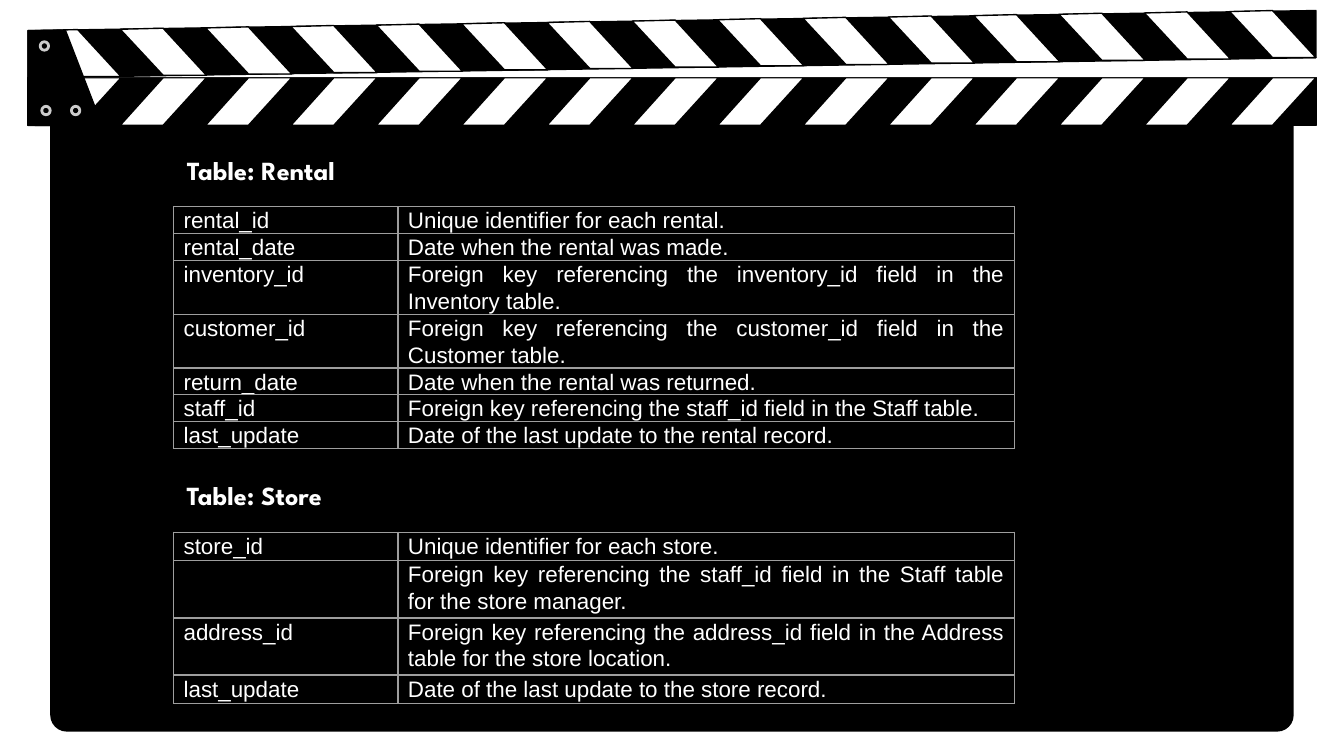
from dataclasses import dataclass

from lxml import etree
from pptx import Presentation
from pptx import util as u
from pptx.dml import color
from pptx.enum import shapes, text
from pptx.oxml import ns

HUES = {"ink": "000000", "snow": "FFFFFF", "rule": "171717", "ring": "CCCCCC", "grid": "9E9E9E"}
COUNT = 15
LEFT = 3.28


@dataclass
class Grid:
    top: float
    unit: float
    rows: list[tuple[str, str, int]]


@dataclass
class Spot:
    left: float
    top: float


RENTAL = Grid(3.91, 0.5, [
    ("rental_id", "Unique identifier for each rental.", 1),
    ("rental_date", "Date when the rental was made.", 1),
    ("inventory_id", "Foreign key referencing the inventory_id field in the Inventory table.", 2),
    ("customer_id", "Foreign key referencing the customer_id field in the Customer table.", 2),
    ("return_date", "Date when the rental was returned.", 1),
    ("staff_id", "Foreign key referencing the staff_id field in the Staff table.", 1),
    ("last_update", "Date of the last update to the rental record.", 1),
])
STORE = Grid(10.06, 0.54, [
    ("store_id", "Unique identifier for each store.", 1),
    ("", "Foreign key referencing the staff_id field in the Staff table for the store manager.", 2),
    ("address_id", "Foreign key referencing the address_id field in the Address table for the store location.", 2),
    ("last_update", "Date of the last update to the store record.", 1),
])
RIVETS = [Spot(0.76, 0.79), Spot(0.79, 2.01), Spot(1.35, 2.01)]


def hue(name: str) -> color.RGBColor:
    return color.RGBColor.from_string(HUES[name])


def paint(shape, fill: str, line: str, width: float = 0.75) -> None:
    shape.shadow.inherit = False
    shape.fill.solid()
    shape.fill.fore_color.rgb = hue(fill)
    shape.line.color.rgb = hue(line)
    shape.line.width = u.Pt(width)


def outline(slide, points: list[tuple[float, float]], fill: str) -> None:
    spots = [(u.Cm(x), u.Cm(y)) for x, y in points]
    pen = slide.shapes.build_freeform(*spots[0])
    pen.add_line_segments(spots[1:], close=True)
    paint(pen.convert_to_shape(), fill, "ink")


def stripes(slide, upper: bool) -> None:
    for step in range(COUNT):
        x = 0.66 + 22.58 * step / (COUNT - 1)
        rise = 0.36 * step / (COUNT - 1)
        if upper:
            points = [(x + 0.81, 0.56 - rise), (x, 0.58 - rise),
                      (x + 0.81, 1.45 - rise), (x + 1.63, 1.45 - rise)]
        else:
            points = [(x + 0.81, 1.47), (x, 2.37), (x + 0.81, 2.37), (x + 1.63, 1.47)]
        outline(slide, points, "snow")


def clapper(slide) -> None:
    board = slide.shapes.add_shape(shapes.MSO_SHAPE.ROUNDED_RECTANGLE,
                                   u.Cm(0.95), u.Cm(1.83), u.Cm(23.5), u.Cm(12))
    board.adjustments[0] = 0.026
    paint(board, "ink", "ink")
    board.line.fill.background()
    outline(slide, [(0.53, 1.47), (0.53, 2.37), (24.87, 2.37), (24.87, 1.47)], "ink")
    stripes(slide, False)
    outline(slide, [(24.87, 0.2), (0.53, 0.58), (0.53, 1.47), (24.87, 1.09)], "ink")
    stripes(slide, True)
    rule = slide.shapes.add_connector(shapes.MSO_CONNECTOR.STRAIGHT,
                                      u.Cm(0.53), u.Cm(1.47), u.Cm(24.87), u.Cm(1.47))
    rule.line.color.rgb = hue("rule")
    rule.line.width = u.Pt(0.48)
    etree.SubElement(rule.element.spPr, ns.qn("a:effectLst"))
    outline(slide, [(0.53, 0.58), (0.53, 2.37), (1.93, 2.37), (1.24, 0.58)], "ink")
    for spot in RIVETS:
        rivet = slide.shapes.add_shape(shapes.MSO_SHAPE.OVAL, u.Cm(spot.left), u.Cm(spot.top),
                                       u.Cm(0.16), u.Cm(0.16))
        paint(rivet, "ink", "ring", 1.5)


def border(cell) -> None:
    props = cell._tc.get_or_add_tcPr()
    for side in ("lnL", "lnR", "lnT", "lnB"):
        line = etree.SubElement(props, ns.qn(f"a:{side}"), w=str(u.Pt(0.75)))
        fill = etree.SubElement(line, ns.qn("a:solidFill"))
        etree.SubElement(fill, ns.qn("a:srgbClr"), val=HUES["grid"])


def style(para, face: str, size: float, bold: bool) -> None:
    for font in [para.font] + [run.font for run in para.runs]:
        font.name = face
        font.size = u.Pt(size)
        font.bold = bold
        font.color.rgb = hue("snow")


def write(cell, words: str) -> None:
    border(cell)
    cell.fill.background()
    cell.margin_left = cell.margin_right = u.Cm(0.19)
    cell.margin_top = cell.margin_bottom = 0
    cell.text_frame.text = words
    para = cell.text_frame.paragraphs[0]
    para.alignment = text.PP_ALIGN.JUSTIFY
    para.line_spacing = 1.07
    para.space_after = u.Pt(8)
    style(para, "Arial", 12, False)


def tabulate(slide, grid: Grid) -> None:
    high = grid.unit * sum(lines for _, _, lines in grid.rows)
    table = slide.shapes.add_table(len(grid.rows), 2, u.Cm(LEFT), u.Cm(grid.top),
                                   u.Cm(15.9), u.Cm(high)).table
    table.first_row = table.horz_banding = False
    for col, width in zip(table.columns, (4.24, 11.66)):
        col.width = u.Cm(width)
    for row, (name, note, lines) in zip(table.rows, grid.rows):
        row.height = u.Cm(grid.unit * lines)
        for cell, words in zip(row.cells, (name, note)):
            write(cell, words)


def label(shape, words: str, top: float, width: float) -> None:
    shape.left, shape.top = u.Cm(LEFT), u.Cm(top)
    shape.width, shape.height = u.Cm(width), u.Cm(0.86)
    frame = shape.text_frame
    frame.word_wrap = True
    frame.vertical_anchor = text.MSO_ANCHOR.MIDDLE
    frame.text = words
    para = frame.paragraphs[0]
    para.space_before = u.Pt(0)
    style(para, "League Spartan", 14, True)


def main() -> None:
    deck = Presentation()
    deck.slide_width, deck.slide_height = u.Cm(25.4), u.Cm(14.29)
    slide = deck.slides.add_slide(deck.slide_layouts[2])
    tree = slide.shapes.element
    tree.remove(slide.shapes.title.element)
    body = slide.placeholders[1]
    clapper(slide)
    tabulate(slide, RENTAL)
    tree.append(body.element)
    label(body, "Table: Rental", 2.79, 11.38)
    tabulate(slide, STORE)
    label(slide.shapes.add_textbox(0, 0, 0, 0), "Table: Store", 8.92, 4.45)
    deck.save("out.pptx")


main()
